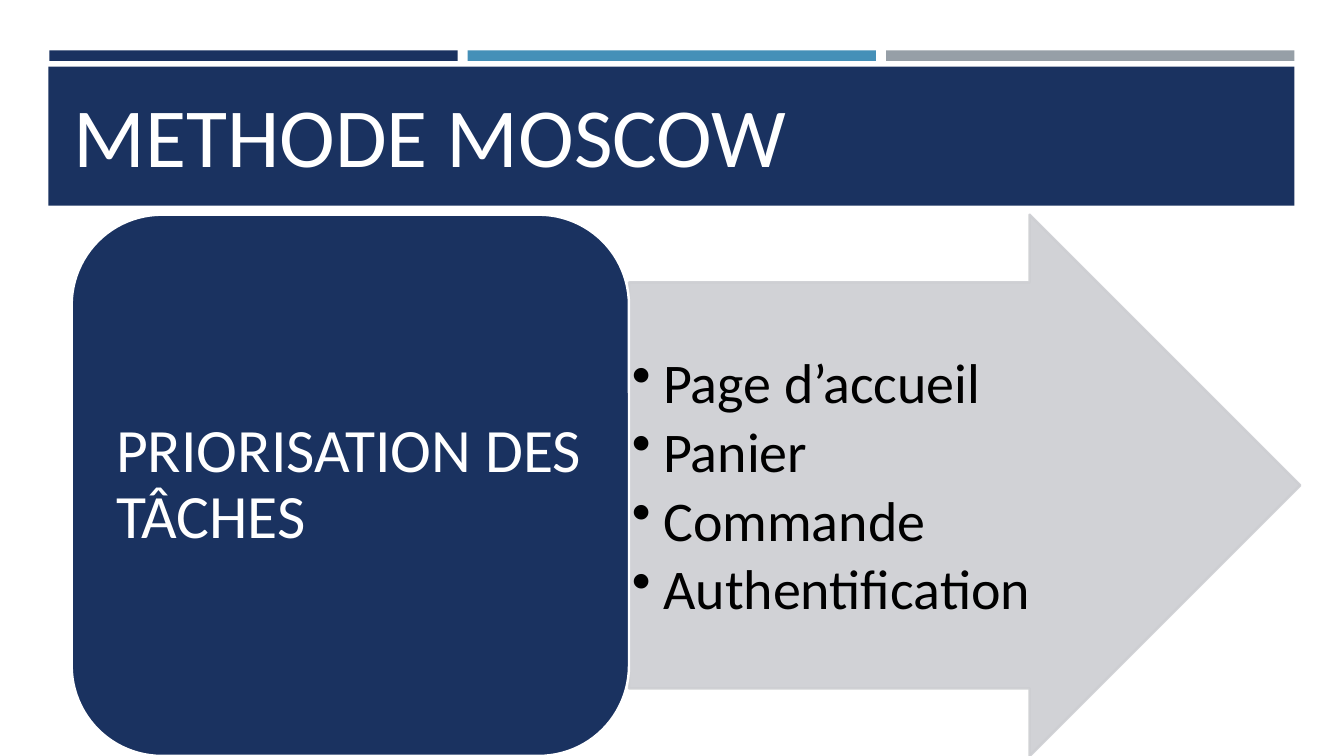
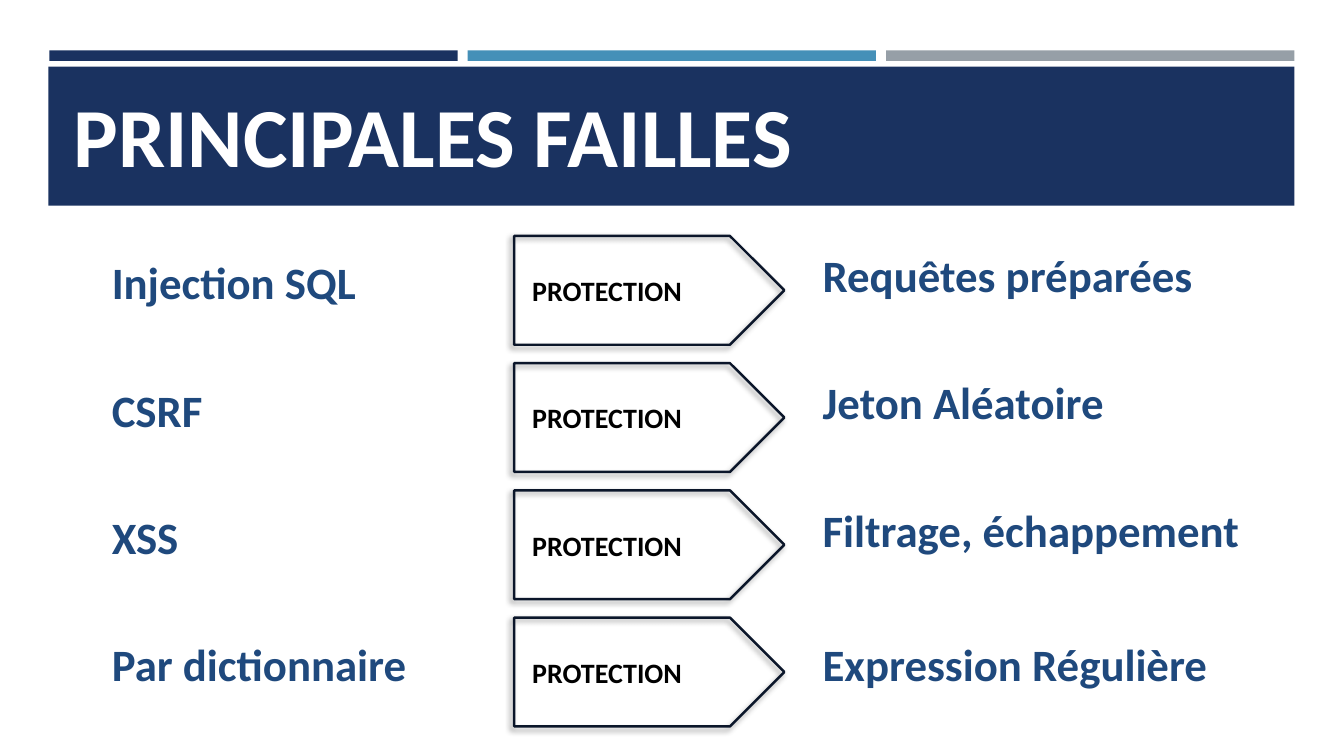
"""Builds two slides on task priorities and security flaws."""
from lxml import etree
from pptx import Presentation
from pptx.dml.color import RGBColor
from pptx.enum import shapes, text
from pptx.oxml import ns, parse_xml
from pptx.util import Inches, Pt

NAVY = RGBColor(0x1A, 0x32, 0x60)
BLUE = RGBColor(0x45, 0x90, 0xB8)
GRAY = RGBColor(0x96, 0x9F, 0xA7)
PALE = RGBColor(0xCD, 0xCE, 0xD2)
INK = RGBColor(0x0B, 0x16, 0x2A)
TEXT = RGBColor(0x1F, 0x49, 0x7D)
WHITE = RGBColor(0xFF, 0xFF, 0xFF)
BLACK = RGBColor(0x00, 0x00, 0x00)
FONT = "Calibri"
SHADOW = (
    f'<a:effectLst {ns.nsdecls("a")}><a:outerShdw blurRad="50800" dist="38100" '
    'dir="8100000" algn="tr" rotWithShape="0"><a:srgbClr val="000000">'
    '<a:alpha val="40000"/></a:srgbClr></a:outerShdw></a:effectLst>'
)
KIND = shapes.MSO_SHAPE
MID = text.MSO_ANCHOR.MIDDLE

deck = Presentation()
deck.slide_width, deck.slide_height = Inches(13.33), Inches(7.5)
COL, ROW = deck.slide_width / 100, deck.slide_height / 100


def draw(page, kind, x, y, w, h, fill=None, line=None):
    """Adds a shape, or a text box if kind is None, in percent of the slide."""
    box = [int(v) for v in (x * COL, y * ROW, w * COL, h * ROW)]
    if kind is None:
        return page.shapes.add_textbox(*box)
    shape = page.shapes.add_shape(kind, *box)
    shape.shadow.inherit = False
    if fill is None:
        shape.fill.background()
    else:
        shape.fill.solid()
        shape.fill.fore_color.rgb = fill
    if line is None:
        shape.line.fill.background()
    else:
        shape.line.color.rgb = line
        shape.line.width = Pt(1.75)
    return shape


def write(shape, words, size, color, bold=False, anchor=text.MSO_ANCHOR.TOP):
    """Fills a shape with left-aligned text, one paragraph a line."""
    frame = shape.text_frame
    frame.text = words
    frame.word_wrap = True
    frame.vertical_anchor = anchor
    for para in frame.paragraphs:
        para.alignment = text.PP_ALIGN.LEFT
        for run in para.runs:
            run.font.name, run.font.size = FONT, Pt(size)
            run.font.bold, run.font.color.rgb = bold, color
    return frame


pages = []
for title, bold in (("METHODE MOSCOW", False), ("PRINCIPALES FAILLES", True)):
    page = deck.slides.add_slide(deck.slide_layouts[6])
    for i, tint in enumerate((NAVY, BLUE, GRAY)):
        draw(page, KIND.RECTANGLE, 3.67 + 31.13 * i, 6.67, 30.38, 1.4, tint)
    draw(page, KIND.RECTANGLE, 3.6, 8.8, 92.7, 18.4, NAVY)
    head = draw(page, None, 4.73, 10.67, 90.47, 14.4)
    write(head, title, 60, WHITE, bold, text.MSO_ANCHOR.BOTTOM)
    pages.append(page)
moscow, flaws = pages

arrow = draw(moscow, KIND.RIGHT_ARROW, 46.8, 28.4, 49.95, 71.6, PALE, PALE)
arrow.adjustments[0], arrow.adjustments[1] = 0.75, 0.5
for color in arrow._element.spPr.iter(ns.qn("a:srgbClr")):
    etree.SubElement(color, ns.qn("a:alpha"), val="90000")
tasks = "Page d’accueil\nPanier\nCommande\nAuthentification"
frame = write(arrow, tasks, 40, BLACK)
frame.margin_left = frame.margin_right = Inches(0.03)
frame.margin_top = Inches(0.72)
for para in frame.paragraphs:
    para.line_spacing, para.space_after = 0.9, Pt(6)
    props = para._p.get_or_add_pPr()
    props.set("marL", str(Inches(0.31)))
    props.set("indent", str(-Inches(0.31)))
    etree.SubElement(props, ns.qn("a:buChar"), char="•")

card = draw(moscow, KIND.ROUNDED_RECTANGLE, 5.33, 28.4, 41.47, 71.6, NAVY, WHITE)
frame = write(card, "PRIORISATION DES TÂCHES", 44, WHITE, anchor=MID)
frame.margin_left = frame.margin_right = Inches(0.18)
frame.paragraphs[0].line_spacing = 0.9

pairs = (
    ("Injection SQL", "Requêtes préparées", 0),
    ("CSRF", "Jeton Aléatoire", 0),
    ("XSS", "Filtrage, échappement", 0),
    ("Par dictionnaire", "Expression Régulière", 1),
)
for i, (flaw, cure, drop) in enumerate(pairs):
    top = 31.2 + 16.83 * i
    write(draw(flaws, None, 7.58, top + 1.87, 30, 12.5), flaw, 32, TEXT, True)
    tag = draw(flaws, KIND.PENTAGON, 38.26, top, 20.1, 14.4, line=INK)
    props = tag._element.spPr
    props.replace(props.find(ns.qn("a:effectLst")), parse_xml(SHADOW))
    label = draw(flaws, None, 38.86, top + 4.33, 16.3, 5.87)
    write(label, "PROTECTION", 20, BLACK, True)
    write(draw(flaws, None, 60.47, top + 0.93 + drop, 38.5, 12.5), cure, 32, TEXT, True)

deck.save("out.pptx")
